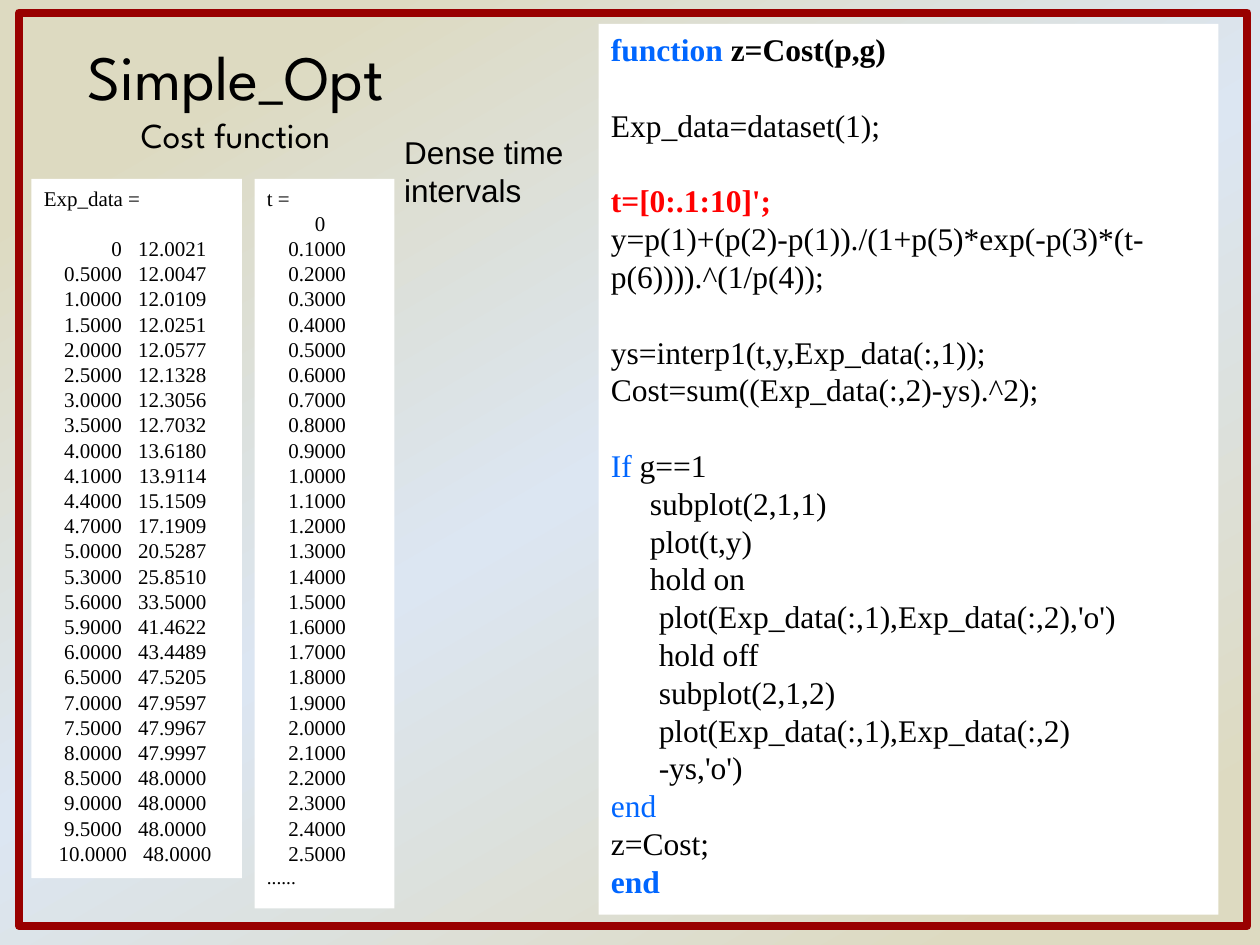
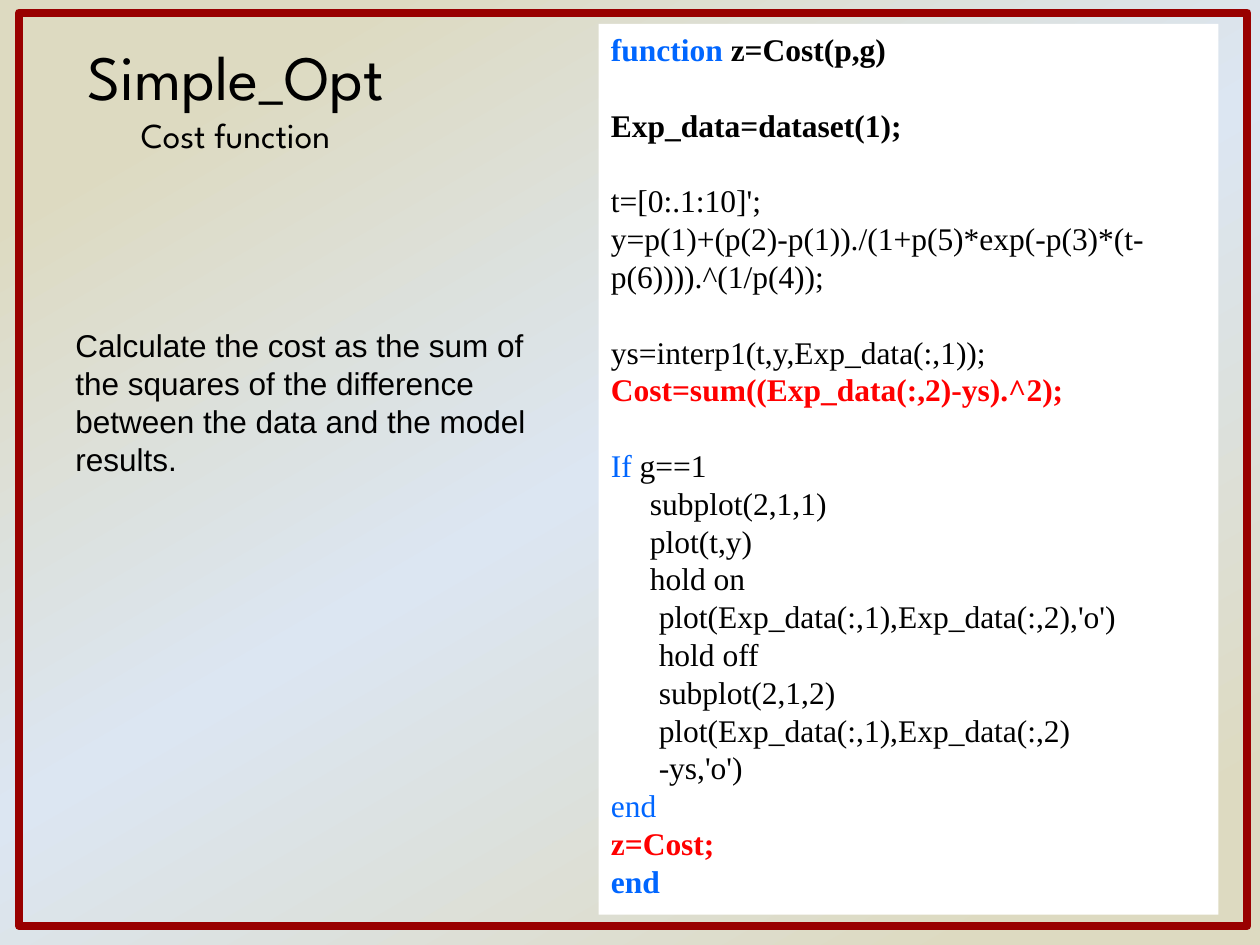
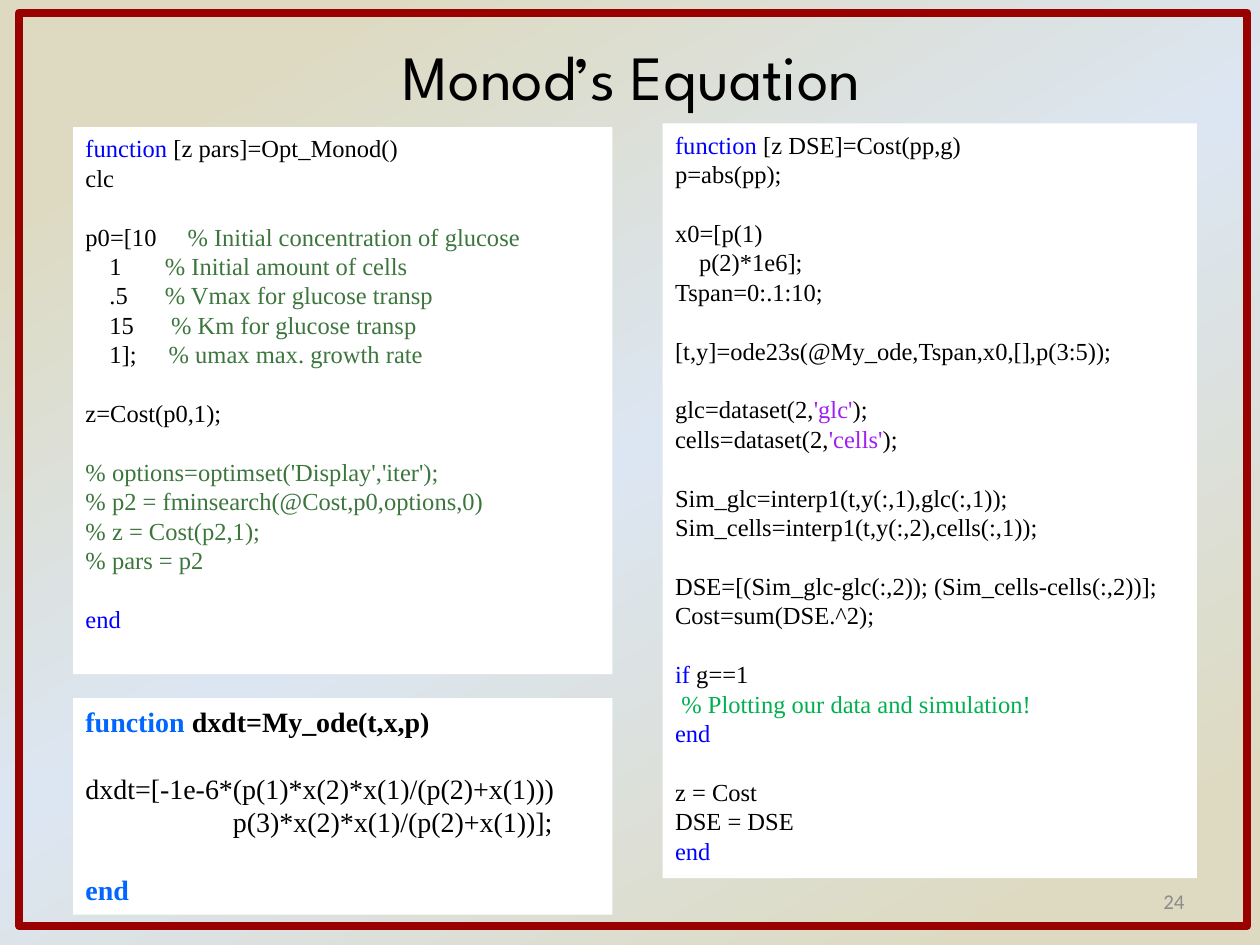
from lxml import etree
from pptx import Presentation
from pptx.dml.color import RGBColor
from pptx.enum.shapes import MSO_SHAPE
from pptx.enum.text import MSO_ANCHOR, MSO_AUTO_SIZE, PP_ALIGN
from pptx.oxml.ns import qn
from pptx.util import Inches, Pt

RECTANGLE = MSO_SHAPE.RECTANGLE
TOP, MIDDLE = MSO_ANCHOR.TOP, MSO_ANCHOR.MIDDLE
LEFT, CENTER, RIGHT = PP_ALIGN.LEFT, PP_ALIGN.CENTER, PP_ALIGN.RIGHT
NO_AUTOFIT = MSO_AUTO_SIZE.NONE
TITLE_ONLY_LAYOUT = 5

COLORS = {
    "sand": "DDDAC1", "sky": "DCE6F2", "frame": "990000", "panel": "FFFFFF",
    "text": "000000", "number": "8C8C8C", "keyword": "0066FF", "editor": "0000FF",
    "highlight": "FF0000", "comment": "3C763D", "note": "00B050", "string": "A020F0",
}
TITLE_FONT, NOTE_FONT, CODE_FONT, NUMBER_FONT = (
    "League Spartan", "Arial", "Times New Roman", "Calibri")
BACKGROUND_STOPS = ((13, "sand"), (49, "sky"), (90, "sand"))
LINE_HEIGHT = 1.2

STYLES = {
    "plain": ("text", False),
    "bold": ("text", True),
    "keyword": ("keyword", False),
    "bold keyword": ("keyword", True),
    "highlight": ("highlight", True),
    "editor": ("editor", False),
    "comment": ("comment", False),
    "note": ("note", False),
    "string": ("string", False),
    "number": ("number", False),
}

MEASUREMENTS = (
    ("0", "12.0021"), ("0.5000", "12.0047"), ("1.0000", "12.0109"),
    ("1.5000", "12.0251"), ("2.0000", "12.0577"), ("2.5000", "12.1328"),
    ("3.0000", "12.3056"), ("3.5000", "12.7032"), ("4.0000", "13.6180"),
    ("4.1000", "13.9114"), ("4.4000", "15.1509"), ("4.7000", "17.1909"),
    ("5.0000", "20.5287"), ("5.3000", "25.8510"), ("5.6000", "33.5000"),
    ("5.9000", "41.4622"), ("6.0000", "43.4489"), ("6.5000", "47.5205"),
    ("7.0000", "47.9597"), ("7.5000", "47.9967"), ("8.0000", "47.9997"),
    ("8.5000", "48.0000"), ("9.0000", "48.0000"), ("9.5000", "48.0000"),
)


def color(name):
    return RGBColor.from_string(COLORS[name])


def set_values(target, values):
    for name, value in values.items():
        setattr(target, name, value)


def line(text, style="plain", *more, gap=False, indent=0, tabs=(), tab_side="l", size=None):
    return {"runs": ((text, style),) + more, "gap": gap, "indent": indent,
            "tabs": tabs, "tab_side": tab_side, "size": size}


def set_background(master):
    fill = master.background.fill
    fill.gradient()
    fill.gradient_angle = 300
    stops = next(master.element.iter(qn("a:gsLst")))
    for stop in list(stops):
        stops.remove(stop)
    for percent, name in BACKGROUND_STOPS:
        stop = etree.SubElement(stops, qn("a:gs"), pos=str(percent * 1000))
        etree.SubElement(stop, qn("a:srgbClr"), val=COLORS[name])


def add_tabs(paragraph, positions, side):
    tab_list = etree.SubElement(paragraph._p.get_or_add_pPr(), qn("a:tabLst"))
    for position in positions:
        etree.SubElement(tab_list, qn("a:tab"), pos=str(Inches(position)), algn=side)


def add_run(paragraph, text, style, font, size):
    run = paragraph.add_run()
    run.text = text
    color_name, bold = STYLES[style]
    set_values(run.font, {"name": font, "size": Pt(size), "bold": bold})
    run.font.color.rgb = color(color_name)


def get_paragraph(frame, index):
    return frame.paragraphs[0] if index == 0 else frame.add_paragraph()


def write_lines(frame, lines, font, size, alignment=LEFT, anchor=TOP):
    set_values(frame, {"word_wrap": True, "auto_size": NO_AUTOFIT, "vertical_anchor": anchor})
    for index, item in enumerate(lines):
        paragraph = get_paragraph(frame, index)
        line_size = item["size"] or size
        pitch = Pt(line_size * LINE_HEIGHT)
        set_values(paragraph, {"alignment": alignment, "line_spacing": pitch,
                               "space_before": pitch if item["gap"] else Pt(0)})
        if item["indent"]:
            paragraph._p.get_or_add_pPr().set("marL", str(Inches(item["indent"])))
        if item["tabs"]:
            add_tabs(paragraph, item["tabs"], item["tab_side"])
        for text, style in item["runs"]:
            add_run(paragraph, text, style, font, line_size)


def add_rectangle(slide, box):
    shape = slide.shapes.add_shape(RECTANGLE, *map(Inches, box))
    shape.shadow.inherit = False
    return shape


def add_frame(slide):
    frame = add_rectangle(slide, (0.15, 0.1, 9.75, 7.25))
    frame.fill.background()
    frame.line.color.rgb = color("frame")
    frame.line.width = Pt(4.5)


def add_panel(slide, box, lines, size):
    panel = add_rectangle(slide, box)
    panel.fill.solid()
    panel.fill.fore_color.rgb = color("panel")
    panel.line.fill.background()
    write_lines(panel.text_frame, lines, CODE_FONT, size)


def add_text(slide, box, text, font, size, style="plain", **layout):
    text_box = slide.shapes.add_textbox(*map(Inches, box))
    write_lines(text_box.text_frame, [line(text, style)], font, size, **layout)


def add_slide(presentation, title_box, title_lines):
    slide = presentation.slides.add_slide(presentation.slide_layouts[TITLE_ONLY_LAYOUT])
    title = slide.shapes.title
    set_values(title, dict(zip(("left", "top", "width", "height"), map(Inches, title_box))))
    frame = title.text_frame
    set_values(frame, {"word_wrap": True, "auto_size": NO_AUTOFIT, "vertical_anchor": TOP})
    for index, (text, size) in enumerate(title_lines):
        paragraph = get_paragraph(frame, index)
        paragraph.alignment = CENTER
        add_run(paragraph, text, "plain", TITLE_FONT, size)
    add_frame(slide)
    return slide


def add_cost_slide(presentation, dataset="plain", time="plain", cost="plain"):
    slide = add_slide(presentation, (0.36, 0.25, 3.02, 1.04),
                      (("Simple_Opt", 36), ("Cost function", 20)))
    code = [
        line("function", "bold keyword", (" z=Cost(p,g)", "bold")),
        line("Exp_data=dataset(1);", dataset, gap=True),
        line("t=[0:.1:10]';", time, gap=True),
        line("y=p(1)+(p(2)-p(1))./(1+p(5)*exp(-p(3)*(t-p(6)))).^(1/p(4));"),
        line("ys=interp1(t,y,Exp_data(:,1));", gap=True),
        line("Cost=sum((Exp_data(:,2)-ys).^2);", cost),
        line("If", "keyword", (" g==1", "plain"), gap=True),
        *(line(text, indent=0.31) for text in ("subplot(2,1,1)", "plot(t,y)", "hold on")),
        *(line(text, indent=0.38) for text in (
            "plot(Exp_data(:,1),Exp_data(:,2),'o')", "hold off", "subplot(2,1,2)",
            "plot(Exp_data(:,1),Exp_data(:,2)", "-ys,'o')")),
        line("end", "keyword"),
        line("z=Cost;", cost),
        line("end", "bold keyword"),
    ]
    add_panel(slide, (4.75, 0.19, 4.92, 7.07), code, 18)
    return slide


def build_time_slide(presentation):
    slide = add_cost_slide(presentation, time="highlight")
    add_text(slide, (3.11, 1.01, 1.92, 0.71), "Dense time intervals", NOTE_FONT, 18)
    data = [line("Exp_data =")]
    data += [line(f"\t{time}\t{value}", gap=index == 0, tabs=(0.62, 1.29), tab_side="r")
             for index, (time, value) in enumerate(MEASUREMENTS)]
    data.append(line("\t10.0000\t48.0000", tabs=(0.66, 1.33), tab_side="r"))
    add_panel(slide, (0.25, 1.42, 1.67, 5.55), data, 12)
    times = [line("t ="), line("0", indent=0.38)]
    times += [line(f"{step / 10:.4f}", indent=0.17) for step in range(1, 26)]
    times.append(line("......", size=11))
    add_panel(slide, (2.02, 1.42, 1.11, 5.79), times, 12)


def build_sum_slide(presentation):
    slide = add_cost_slide(presentation, dataset="bold", cost="highlight")
    add_text(slide, (0.5, 2.54, 4.02, 1.31),
             "Calculate the cost as the sum of the squares of the difference "
             "between the data and the model results.", NOTE_FONT, 18)


def build_monod_slide(presentation):
    slide = add_slide(presentation, (1.11, 0.25, 7.81, 0.71), (("Monod’s Equation", 36),))
    add_text(slide, (7.17, 6.95, 2.33, 0.4), "24", NUMBER_FONT, 12, "number",
             alignment=RIGHT, anchor=MIDDLE)
    parameters = (
        ("1", "% Initial amount of cells", 0.63),
        (".5", "% Vmax for glucose transp", 0.63),
        ("15", "% Km for glucose transp", 0.68),
        ("1];", "% umax max. growth rate", 0.66),
    )
    optimizer = [
        line("function", "editor", (" [z pars]=Opt_Monod()", "plain")),
        line("clc"),
        line("p0=[10\t", "plain", ("% Initial concentration of glucose", "comment"),
             gap=True, tabs=(0.81,)),
        *(line(f"\t{value}\t", "plain", (remark, "comment"), tabs=(0.19, position))
          for value, remark, position in parameters),
        line("z=Cost(p0,1);", gap=True),
        line("% options=optimset('Display','iter');", "comment", gap=True),
        line("% p2 = fminsearch(@Cost,p0,options,0)", "comment"),
        line("% z = Cost(p2,1);", "comment"),
        line("% pars = p2", "comment"),
        line("end", "editor", gap=True),
    ]
    cost = [
        line("function", "editor", (" [z DSE]=Cost(pp,g)", "plain")),
        line("p=abs(pp);"),
        line("x0=[p(1)", gap=True),
        line("p(2)*1e6];", indent=0.19),
        line("Tspan=0:.1:10;"),
        line("[t,y]=ode23s(@My_ode,Tspan,x0,[],p(3:5));", gap=True),
        line("glc=dataset(2,", "plain", ("'glc'", "string"), (");", "plain"), gap=True),
        line("cells=dataset(2,", "plain", ("'cells'", "string"), (");", "plain")),
        line("Sim_glc=interp1(t,y(:,1),glc(:,1));", gap=True),
        line("Sim_cells=interp1(t,y(:,2),cells(:,1));"),
        line("DSE=[(Sim_glc-glc(:,2)); (Sim_cells-cells(:,2))];", gap=True),
        line("Cost=sum(DSE.^2);"),
        line("if", "editor", (" g==1", "plain"), gap=True),
        line("% Plotting our data and simulation!", "note", indent=0.05),
        line("end", "editor"),
        line("z = Cost", gap=True),
        line("DSE = DSE"),
        line("end", "editor"),
    ]
    equations = [
        line("function ", "bold keyword", ("dxdt=My_ode(t,x,p)", "bold")),
        line("dxdt=[-1e-6*(p(1)*x(2)*x(1)/(p(2)+x(1)))", gap=True),
        line("p(3)*x(2)*x(1)/(p(2)+x(1))];", indent=1.17),
        line("end", "bold keyword", gap=True),
    ]
    add_panel(slide, (0.58, 1.01, 4.28, 4.34), optimizer, 14)
    add_panel(slide, (5.26, 0.98, 4.24, 5.99), cost, 14)
    add_panel(slide, (0.58, 5.54, 4.28, 1.72), equations, 16)


def main():
    presentation = Presentation()
    set_values(presentation, {"slide_width": Inches(10), "slide_height": Inches(7.5)})
    set_background(presentation.slide_master)
    build_time_slide(presentation)
    build_sum_slide(presentation)
    build_monod_slide(presentation)
    presentation.save("out.pptx")


if __name__ == "__main__":
    main()
